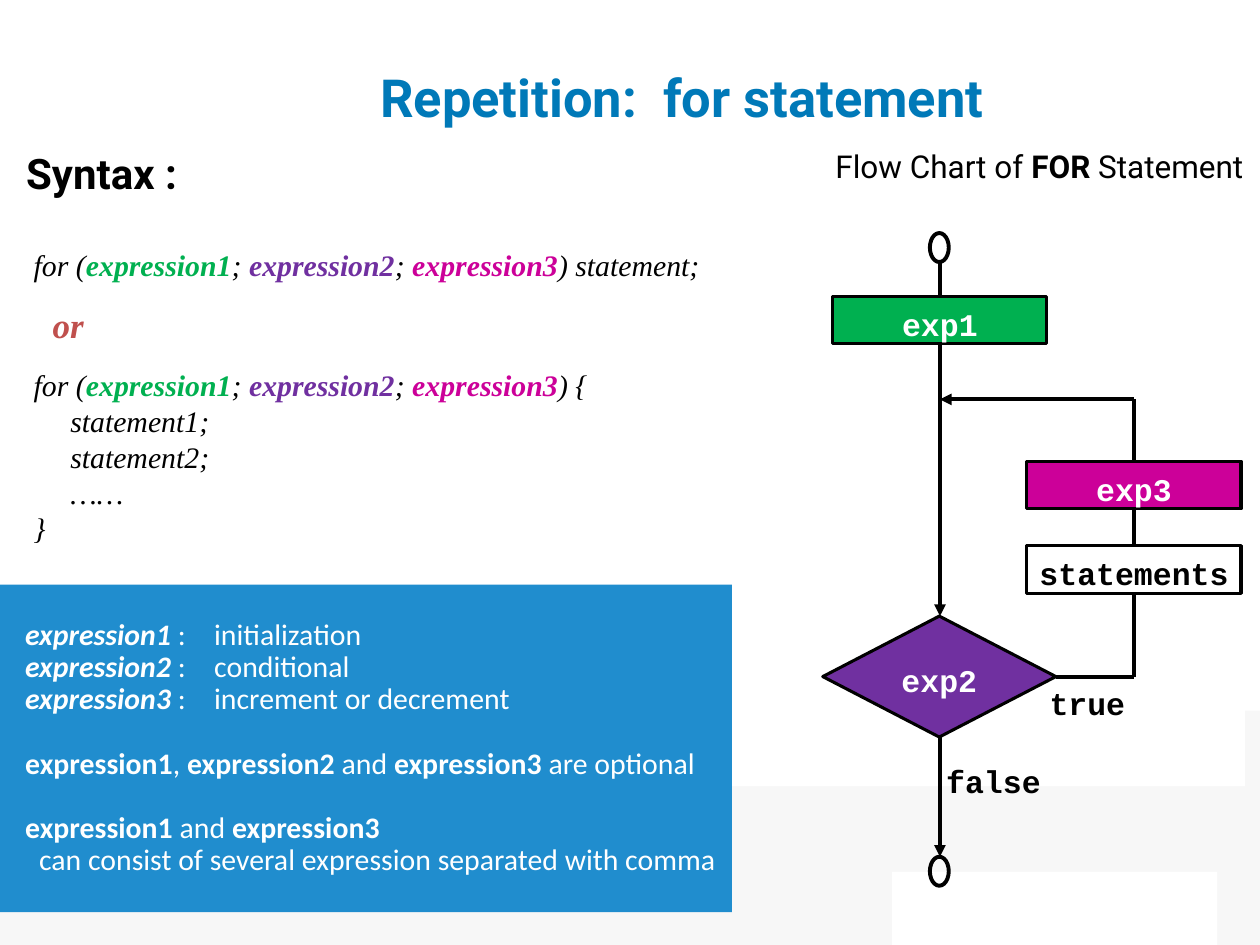
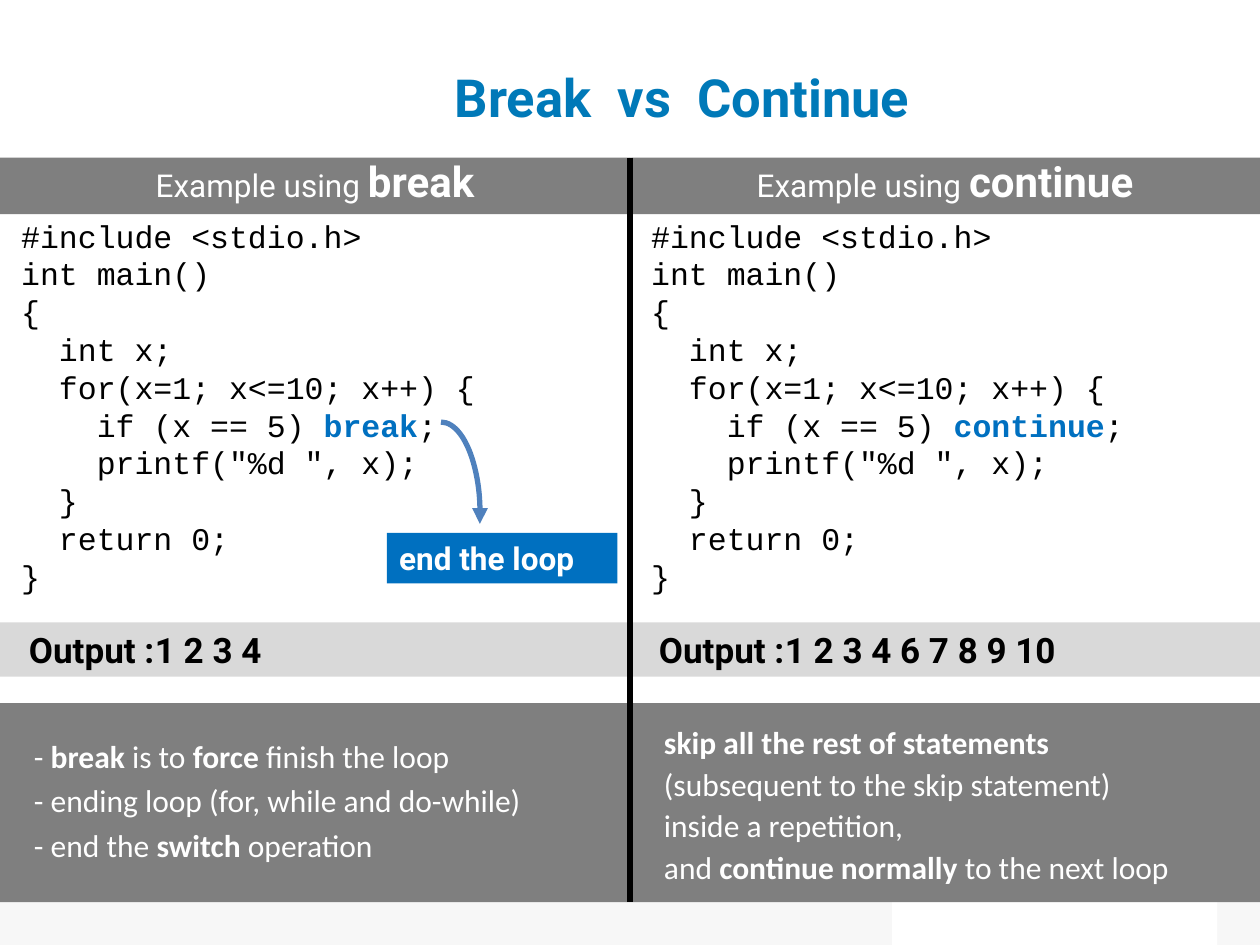
from dataclasses import dataclass

from lxml import etree
from pptx import Presentation
from pptx.dml.color import RGBColor
from pptx.enum.shapes import MSO_CONNECTOR as CONN, MSO_SHAPE as SHAPE
from pptx.enum.text import MSO_ANCHOR as ANCHOR, PP_ALIGN as ALIGN
from pptx.oxml.ns import qn
from pptx.util import Inches, Pt


@dataclass(frozen=True)
class Theme:
    black: str = "000000"
    white: str = "FFFFFF"
    title: str = "0079B8"
    band: str = "F7F7F7"
    init: str = "00B050"
    cond: str = "7030A0"
    step: str = "CC0099"
    alternative: str = "C0504D"
    panel: str = "208DCE"
    keyword: str = "0070C0"
    dark: str = "7F7F7F"
    light: str = "D9D9D9"
    arrow: str = "4F81BD"
    head: str = "Roboto"
    body: str = "Calibri"
    mono: str = "Courier New"
    serif: str = "Times New Roman"
    title_size: float = 30
    strong_size: float = 24
    output_size: float = 20
    text_size: float = 18
    syntax_size: float = 17


T = Theme()


def run(text, **fmt):
    return text, fmt


def bold(text, **fmt):
    return run(text, bold=True, **fmt)


def para(*runs, **fmt):
    return runs, fmt


def write(sp, paras, anchor=ANCHOR.TOP, inset=(0.1, 0.05, 0.1, 0.05), wrap=True, **base):
    """Fill sp with paragraphs; each run and paragraph may override the base format."""
    tf = sp.text_frame
    tf.word_wrap, tf.vertical_anchor = wrap, anchor
    (tf.margin_left, tf.margin_top,
     tf.margin_right, tf.margin_bottom) = map(Inches, inset)
    for i, (runs, own) in enumerate(paras):
        p = tf.paragraphs[0] if i == 0 else tf.add_paragraph()
        fmt = {**base, **own}
        p.alignment = fmt.get("align", ALIGN.LEFT)
        p.line_spacing = fmt.get("line")
        p.space_before = Pt(fmt.get("before", 0))
        pPr = p._p.get_or_add_pPr()
        pPr.set("marL", str(Inches(fmt.get("indent", 0))))
        pPr.set("indent", "0")
        if "tab" in fmt:
            tabs = etree.SubElement(pPr, qn("a:tabLst"))
            etree.SubElement(tabs, qn("a:tab"), pos=str(Inches(fmt["tab"])), algn="l")
        for item in runs:
            text, over = run(item) if isinstance(item, str) else item
            look = {**fmt, **over}
            r = p.add_run()
            r.text = text
            r.font.name, r.font.size = look["font"], Pt(look["size"])
            r.font.bold, r.font.italic = look.get("bold", False), look.get("italic", False)
            r.font.color.rgb = RGBColor.from_string(look.get("color", T.black))
    return sp


def add_text(slide, x, y, w, h, paras, **fmt):
    sp = slide.shapes.add_textbox(*map(Inches, (x, y, w, h)))
    return write(sp, paras, **fmt)


def add_box(slide, x, y, w, h, fill=None, line=None, kind=SHAPE.RECTANGLE, width=1.75):
    sp = slide.shapes.add_shape(kind, *map(Inches, (x, y, w, h)))
    sp.shadow.inherit = False
    if fill:
        sp.fill.solid()
        sp.fill.fore_color.rgb = RGBColor.from_string(fill)
    else:
        sp.fill.background()
    if line:
        sp.line.color.rgb = RGBColor.from_string(line)
        sp.line.width = Pt(width)
    else:
        sp.line.fill.background()
    return sp


def add_arrowhead(sp):
    etree.SubElement(sp.line._get_or_add_ln(), qn("a:tailEnd"), type="triangle")


def add_line(slide, x1, y1, x2, y2, arrow=False, width=2.25):
    c = slide.shapes.add_connector(CONN.STRAIGHT, *map(Inches, (x1, y1, x2, y2)))
    c.line.color.rgb = RGBColor.from_string(T.black)
    c.line.width = Pt(width)
    if arrow:
        add_arrowhead(c)
    etree.SubElement(c._element.spPr, qn("a:effectLst"))


def new_slide(prs):
    slide = prs.slides.add_slide(prs.slide_layouts[6])
    add_box(slide, 0, 5.64, 10, 1.86, T.band)
    add_box(slide, 7.08, 6.92, 2.58, 0.58, T.white)
    return slide


def add_title(slide, text):
    add_text(slide, 0.83, 0.33, 9.17, 0.87, [para(text)], anchor=ANCHOR.MIDDLE,
             align=ALIGN.CENTER, font=T.head, size=T.title_size, color=T.title, bold=True)


def add_syntax(slide, x, y, w, h):
    header = ["for (", bold("expression1", color=T.init), "; ",
              bold("expression2", color=T.cond), "; ",
              bold("expression3", color=T.step)]
    body = [para(s, indent=0.35) for s in ("statement1;", "statement2;", "……")]
    write(add_box(slide, x, y, w, h, T.white), [
        para(bold("Syntax :", font=T.head, size=T.strong_size, italic=False),
             line=1.0, indent=0),
        para(*header, ") statement;", before=28),
        para(bold("or", size=T.output_size, color=T.alternative), before=15.5, indent=0.21),
        para(*header, ") {", before=12),
        *body,
        para("}"),
    ], font=T.serif, size=T.syntax_size, italic=True, line=Pt(20.5), indent=0.06)


def add_meanings(slide, x, y, w, h):
    meanings = ["initialization", "conditional", "increment or decrement"]
    gap = 18.5
    write(add_box(slide, x, y, w, h, T.panel), [
        *(para(bold(f"expression{n} ", italic=True), f":\t{meaning}", tab=1.38)
          for n, meaning in enumerate(meanings, 1)),
        para(bold("expression1"), ", ", bold("expression2"), " and ",
             bold("expression3 "), "are optional", before=gap),
        para(bold("expression1"), " and ", bold("expression3"), before=gap),
        para("can consist of several expression separated with comma", indent=0.11),
    ], anchor=ANCHOR.MIDDLE, inset=(0.2, 0.05, 0.05, 0.05), font=T.body,
        size=T.syntax_size, color=T.white, line=0.9)


def add_flow_chart(slide, x, y):
    """Draw the loop with its top left corner at x, y."""
    main, side = x + 0.93, x + 2.47
    decision, merge, end = y + 3.52, y + 1.32, y + 4.95
    code = dict(font=T.mono, size=T.text_size, bold=True, wrap=False)

    add_line(slide, main, y + 0.23, main, decision - 0.48, arrow=True)
    add_line(slide, main, decision + 0.48, main, end, arrow=True)
    add_line(slide, x + 1.85, decision, side, decision)
    add_line(slide, side, decision, side, merge)
    add_line(slide, side, merge, main, merge, arrow=True)

    for top in (y, end):
        add_box(slide, main - 0.08, top, 0.15, 0.23, line=T.black,
                kind=SHAPE.OVAL, width=2.25)
    for label, center, top, fill, color in (
            ("exp1", main, 0.5, T.init, T.white),
            ("exp3", side, 1.81, T.step, T.white),
            ("statements", side, 2.48, T.white, T.black)):
        sp = add_box(slide, center - 0.85, y + top, 1.7, 0.38, fill, T.black)
        write(sp, [para(label)], inset=(0, 0.07, 0, 0), align=ALIGN.CENTER,
              color=color, **code)
    sp = add_box(slide, x, decision - 0.48, 1.85, 0.96, T.cond, T.black, SHAPE.DIAMOND)
    write(sp, [para("exp2")], anchor=ANCHOR.MIDDLE, inset=(0, 0.05, 0, 0),
          align=ALIGN.CENTER, color=T.white, **code)
    for label, dx, dy in (("true", 1.8, 3.58), ("false", 0.98, 4.2)):
        add_text(slide, x + dx, y + dy, 0.87, 0.37, [para(label)],
                 inset=(0, 0, 0, 0), **code)


def build_for_slide(prs):
    slide = new_slide(prs)
    add_syntax(slide, 0.11, 1.12, 9.77, 5.12)
    add_title(slide, "Repetition:  for statement")
    add_meanings(slide, 0, 4.64, 5.81, 2.6)
    add_text(slide, 6.47, 1.13, 3.56, 0.41,
             [para("Flow Chart of ", bold("FOR "), "Statement")], anchor=ANCHOR.MIDDLE,
             align=ALIGN.CENTER, font=T.head, size=T.text_size, line=0.9, wrap=False)
    add_flow_chart(slide, 6.53, 1.85)


def add_example(slide, x, w, keyword, output, notes, note_format):
    """Place one column: heading, program, output and explanation."""
    write(add_box(slide, x, 1.25, w, 0.45, T.dark),
          [para("Example using ", bold(keyword, size=T.strong_size))],
          anchor=ANCHOR.MIDDLE, align=ALIGN.CENTER, font=T.head,
          size=T.text_size, color=T.white, line=0.8)

    program = [(0, ["#include <stdio.h>"]), (0, ["int main()"]), (0, ["{"]),
               (1, ["int x;"]), (1, ["for(x=1; x<=10; x++) {"]),
               (2, ["if (x == 5) ", bold(keyword, color=T.keyword), ";"]),
               (2, ['printf("%d ", x);']), (1, ["}"]), (1, ["return 0;"]), (0, ["}"])]
    add_text(slide, x + 0.07, 1.67, w - 0.13, 3.13,
             [para(*runs, indent=0.3 * level) for level, runs in program],
             font=T.mono, size=T.text_size, line=Pt(21.6))

    write(add_box(slide, x, 4.94, w, 0.43, T.light),
          [para(f"Output :\t{output}", tab=1.21)], anchor=ANCHOR.MIDDLE,
          inset=(0.23, 0.05, 0.1, 0.05), font=T.head, size=T.output_size, bold=True)
    write(add_box(slide, x, 5.58, w, 1.58, T.dark), notes, anchor=ANCHOR.MIDDLE,
          inset=(0.27, 0.05, 0.1, 0.05), font=T.body, size=T.text_size,
          color=T.white, **note_format)


def add_loop_exit(slide, x, y):
    """Point from the break statement to a label that tells its effect."""
    write(add_box(slide, x, y, 1.83, 0.4, T.keyword), [para("end the loop")],
          anchor=ANCHOR.MIDDLE, font=T.head, size=T.text_size, color=T.white, bold=True)
    arc = add_box(slide, x + 0.12, y - 0.88, 0.62, 1.46, line=T.arrow,
                  kind=SHAPE.ARC, width=3)
    arc.adjustments[0], arc.adjustments[1] = 162, 8.55
    add_arrowhead(arc)


def build_break_slide(prs):
    slide = new_slide(prs)
    add_title(slide, "Break  vs  Continue")
    half = 5
    add_example(slide, 0, half, "break", "1 2 3 4", [
        para("- ", bold("break"), " is to ", bold("force"), " finish the loop"),
        para("- ending loop (for, while and do-while)"),
        para("- end the ", bold("switch"), " operation"),
    ], dict(line=0.9, before=6))
    add_example(slide, half, half, "continue", "1 2 3 4 6 7 8 9 10", [
        para(bold("skip all the rest of statements")),
        para("(subsequent to the skip statement)"),
        para("inside a repetition,"),
        para("and ", bold("continue normally"), " to the next loop"),
    ], dict(line=1.1))
    add_line(slide, half, 1.25, half, 7.16, width=3)
    add_loop_exit(slide, 3.07, 4.23)


def main():
    prs = Presentation()
    prs.slide_width, prs.slide_height = Inches(10), Inches(7.5)
    build_for_slide(prs)
    build_break_slide(prs)
    prs.save("out.pptx")


if __name__ == "__main__":
    main()
